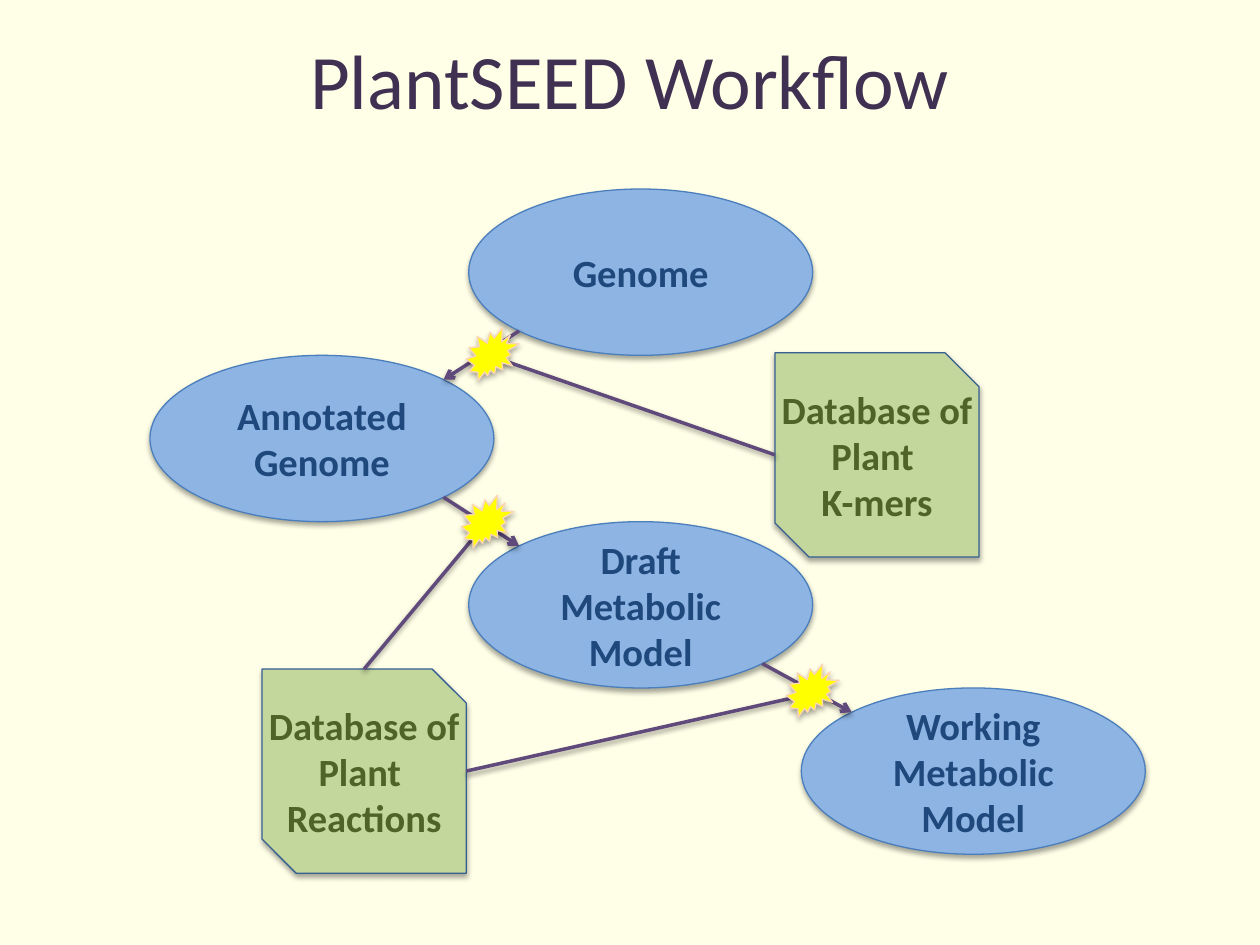
"""Build the PlantSEED workflow slide."""
from lxml import etree
from pptx import Presentation
from pptx.dml.color import RGBColor
from pptx.enum.shapes import MSO_CONNECTOR, MSO_SHAPE
from pptx.enum.text import MSO_ANCHOR, PP_ALIGN
from pptx.oxml.ns import qn
from pptx.util import Inches, Pt

OVAL, SNIP, SEAL = MSO_SHAPE.OVAL, MSO_SHAPE.SNIP_2_DIAG_RECTANGLE, MSO_SHAPE.EXPLOSION2
LINE = MSO_CONNECTOR.STRAIGHT
MID, CENTER = MSO_ANCHOR.MIDDLE, PP_ALIGN.CENTER
HEX = {
    "page": "FFFFE8", "title": "403152", "arrow": "604A7B", "shade": "000000",
    "oval": "8EB4E3", "rim": "4B7EBC", "step": "1F497D",
    "base": "C3D69B", "edge": "376092", "data": "4F6228",
    "seal": "FFFF00", "glow": "FCD5B5",
}
RGB = {name: RGBColor.from_string(code) for name, code in HEX.items()}


def write(shape, text, size=22, color="step", bold=True, wrap=True):
    frame = shape.text_frame
    frame.word_wrap = wrap
    frame.vertical_anchor = MID
    frame.text = text
    for par in frame.paragraphs:
        par.alignment = CENTER
        font = par.font
        font.name, font.size, font.bold = "Calibri", Pt(size), bold
        font.color.rgb = RGB[color]


def style(item, line, width, fill=None, dist=1.8, alpha=35):
    item.line.color.rgb = RGB[line]
    item.line.width = Pt(width)
    if fill:
        item.fill.solid()
        item.fill.fore_color.rgb = RGB[fill]
    effect = etree.SubElement(item._element.spPr, qn("a:effectLst"))
    shade = etree.SubElement(effect, qn("a:outerShdw"), blurRad=str(Pt(3.1)),
                             dist=str(Pt(dist)), dir="5400000", rotWithShape="0")
    tone = etree.SubElement(shade, qn("a:srgbClr"), val=HEX["shade"])
    etree.SubElement(tone, qn("a:alpha"), val=str(alpha * 1000))


deck = Presentation()
deck.slide_width, deck.slide_height = Inches(10), Inches(7.5)
slide = deck.slides.add_slide(deck.slide_layouts[5])
slide.background.fill.solid()
slide.background.fill.fore_color.rgb = RGB["page"]
shapes = slide.shapes

title = shapes.title
title.left, title.top = Inches(0.5), Inches(0)
title.width, title.height = Inches(9), Inches(1.25)
write(title, "PlantSEED Workflow", size=44, color="title", bold=False)

wide, high, box, burst = 2.73, 1.32, 1.62, 0.42
steps = [
    ("Genome", 3.72),
    ("Annotated Genome", 1.19),
    ("Draft Metabolic Model", 3.72),
    ("Working Metabolic Model", 6.36),
]
mids = []
for row, (text, left) in enumerate(steps):
    top = 1.5 + row * high
    oval = shapes.add_shape(OVAL, Inches(left), Inches(top), Inches(wide), Inches(high))
    style(oval, "rim", 0.75, "oval")
    write(oval, text)
    mids.append((left + wide / 2, top + high / 2))

bases = [
    ("Database of\nPlant \nReactions", 2.08, 5.31),
    ("Database of\nPlant \nK-mers", 6.15, 2.8),
]
for text, left, top in bases:
    base = shapes.add_shape(SNIP, Inches(left), Inches(top), Inches(box), Inches(box))
    style(base, "edge", 0.75, "base")
    write(base, text, color="data", wrap=False)

lines = [
    (6.15, 2.8 + box / 2, 3.85, 2.81, False),
    (2.08 + box / 2, 5.31, 3.89, 4.11, True),
    (2.08 + box, 5.31 + box / 2, 6.42, 5.51, True),
]
diag = 0.5 ** 0.5
for (x1, y1), (x2, y2) in zip(mids, mids[1:]):
    shift = diag * wide / 2 * (1 if x2 > x1 else -1)
    drop = diag * high / 2
    lines.append((x1 + shift, y1 + drop, x2 - shift, y2 - drop, True))

for x1, y1, x2, y2, head in lines:
    link = shapes.add_connector(LINE, Inches(x1), Inches(y1), Inches(x2), Inches(y2))
    style(link, "arrow", 2, dist=1.6, alpha=38)
    if head:
        etree.SubElement(link.line._get_or_add_ln(), qn("a:tailEnd"), type="arrow")

for left, top in [(3.7, 2.6), (3.66, 3.93), (6.24, 5.27)]:
    seal = shapes.add_shape(SEAL, Inches(left), Inches(top), Inches(burst), Inches(burst))
    style(seal, "glow", 0.75, "seal")

deck.save("out.pptx")
